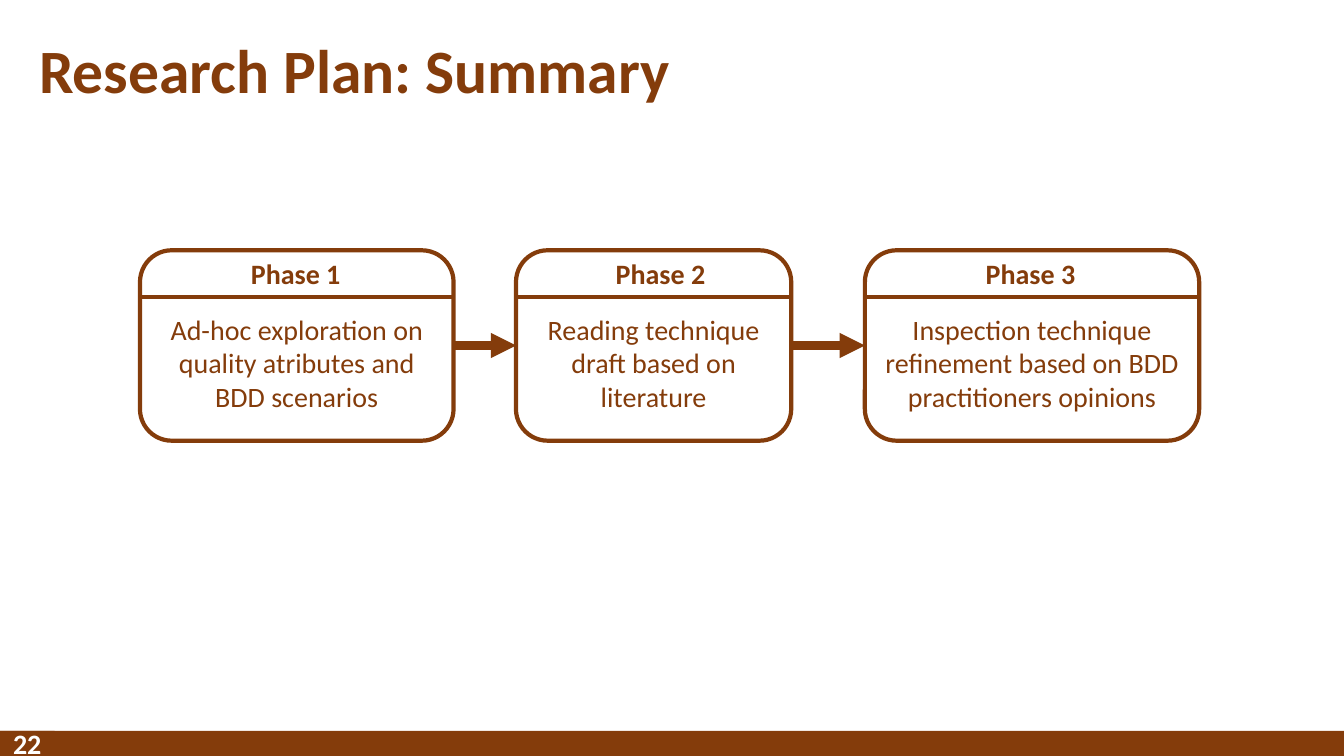
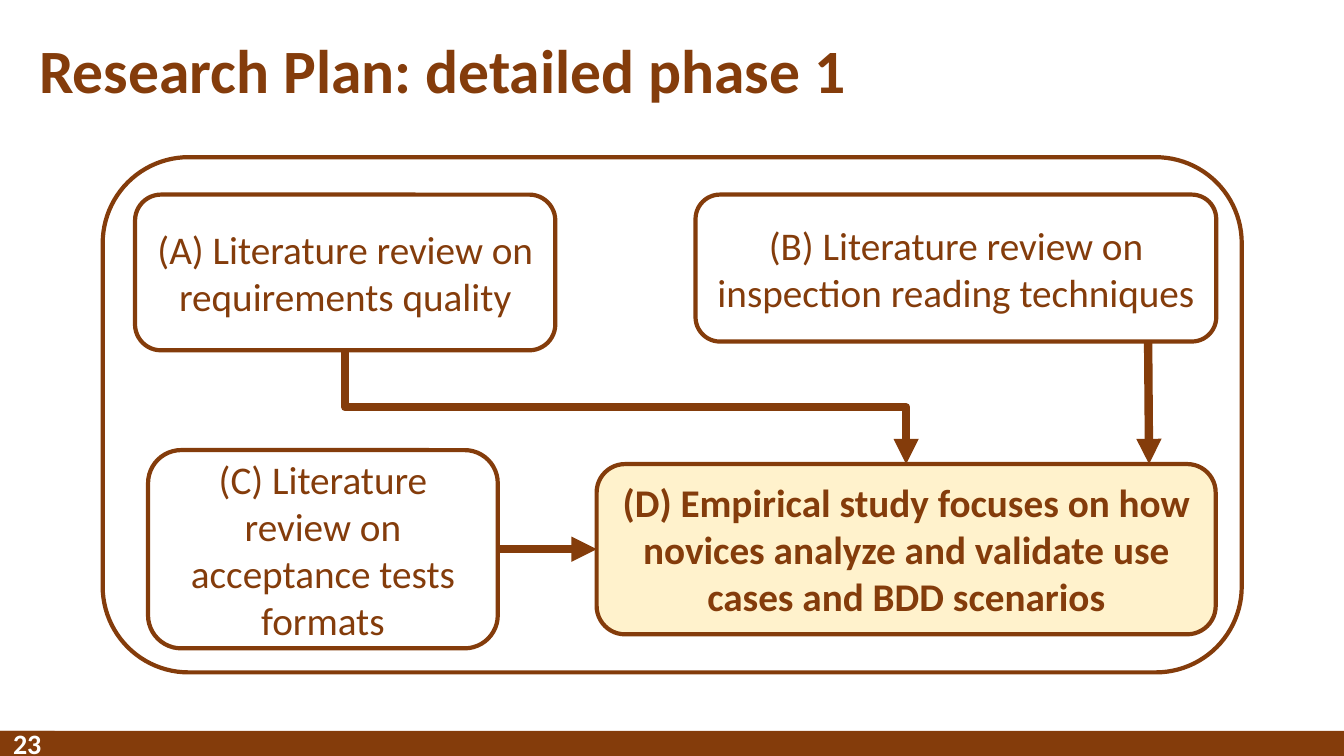
from lxml import etree
from pptx import Presentation
from pptx.dml.color import RGBColor
from pptx.enum.shapes import MSO_CONNECTOR, MSO_SHAPE
from pptx.enum.text import MSO_ANCHOR, PP_ALIGN
from pptx.oxml.ns import qn
from pptx.util import Pt

RECTANGLE, ROUNDED = MSO_SHAPE.RECTANGLE, MSO_SHAPE.ROUNDED_RECTANGLE
STRAIGHT, ELBOW = MSO_CONNECTOR.STRAIGHT, MSO_CONNECTOR.ELBOW
LEFT, CENTER = PP_ALIGN.LEFT, PP_ALIGN.CENTER
TOP, MIDDLE = MSO_ANCHOR.TOP, MSO_ANCHOR.MIDDLE
TOP_SIDE, LEFT_SIDE, BOTTOM_SIDE, RIGHT_SIDE = range(4)

COLORS = {"brown": "843C0B", "white": "FFFFFF", "cream": "FFF2CC"}
FONT = "Calibri"
OUTLINE, ARROW = 3, 6
WIDTH, HEIGHT, BAND_HEIGHT = 960, 540, 18


def add_box(slide, text, left, top, width, height, kind=None, fill=None, line=None,
            size=20, bold=False, color="brown", align=CENTER, anchor=MIDDLE,
            spacing=None, top_margin=3.6, wrap=True):
    """Add a preset shape, or a text box when no kind is given."""
    place = Pt(left), Pt(top), Pt(width), Pt(height)
    if kind is None:
        shape = slide.shapes.add_textbox(*place)
    else:
        shape = slide.shapes.add_shape(kind, *place)
        shape.shadow.inherit = False
        shape.fill.solid()
        shape.fill.fore_color.rgb = RGBColor.from_string(COLORS[fill])
        if line:
            shape.line.color.rgb = RGBColor.from_string(COLORS[line])
            shape.line.width = Pt(OUTLINE)
        else:
            shape.line.fill.background()
    if text:
        frame = shape.text_frame
        frame.word_wrap = wrap
        frame.vertical_anchor = anchor
        frame.margin_top = Pt(top_margin)
        paragraph = frame.paragraphs[0]
        paragraph.alignment = align
        paragraph.line_spacing = spacing
        run = paragraph.add_run()
        run.text = text
        run.font.name = FONT
        run.font.size = Pt(size)
        run.font.bold = bold
        run.font.color.rgb = RGBColor.from_string(COLORS[color])
    return shape


def add_line(slide, start=(0, 0), end=(0, 0), joins=None, kind=STRAIGHT, arrow=False):
    """Add a line between points, or between joins (shape, side, shape, side)."""
    connector = slide.shapes.add_connector(kind, *map(Pt, start + end))
    if joins:
        connector.begin_connect(*joins[:2])
        connector.end_connect(*joins[2:])
    connector.line.color.rgb = RGBColor.from_string(COLORS["brown"])
    connector.line.width = Pt(ARROW if arrow else OUTLINE)
    if arrow:
        line = connector.line._get_or_add_ln()
        etree.SubElement(line, qn("a:tailEnd"), type="triangle")
    etree.SubElement(connector.element.spPr, qn("a:effectLst"))
    return connector


presentation = Presentation()
presentation.slide_width, presentation.slide_height = Pt(WIDTH), Pt(HEIGHT)

# Shared title, footer band and page number
slides = []
for number, title in ((22, "Research Plan: Summary"),
                      (23, "Research Plan: detailed phase 1")):
    slide = presentation.slides.add_slide(presentation.slide_layouts[6])
    band_top = HEIGHT - BAND_HEIGHT
    add_box(slide, None, 0, band_top, WIDTH, BAND_HEIGHT, RECTANGLE, "brown")
    add_box(slide, str(number), 0, band_top, 39, BAND_HEIGHT, RECTANGLE, "brown",
            bold=True, color="white")
    add_box(slide, title, 20.9, 0, 828, 104.4, size=44, bold=True, align=LEFT,
            spacing=0.9)
    slides.append(slide)
summary, detail = slides

# Summary: three phases in a row
PHASE_TOP, PHASE_HEIGHT, DIVIDER_Y = 178.8, 136, 212.3
phases = [
    (100, 224, 172.1, "Ad-hoc exploration on quality atributes and BDD scenarios"),
    (368.6, 196.6, 432.7, "Reading technique draft based on literature"),
    (617.8, 238.8, 697, "Inspection technique refinement based on BDD practitioners opinions"),
]
previous = None
for index, (left, width, label_left, text) in enumerate(phases, 1):
    box = add_box(summary, text, left, PHASE_TOP, width, PHASE_HEIGHT, ROUNDED,
                  "white", "brown", top_margin=28)
    add_line(summary, (left, DIVIDER_Y), (left + width, DIVIDER_Y))
    add_box(summary, f"Phase {index}", label_left, 180, 79, 31.5, bold=True,
            align=LEFT, anchor=TOP, wrap=False)
    if previous:
        add_line(summary, joins=(previous, RIGHT_SIDE, box, LEFT_SIDE), arrow=True)
    previous = box

# Detail: frame around the four steps of phase 1
add_box(detail, None, 73.4, 112.3, 813.6, 368, ROUNDED, "white", "brown")
steps = {}
for text, left, top, width, height in (
    ("(A) Literature review on requirements quality", 96.5, 139, 300.2, 111.2),
    ("(B) Literature review on inspection reading techniques", 496.8, 139, 372, 105),
    ("(C) Literature review on acceptance tests formats", 105.8, 321.5, 249.8, 141.6),
    ("(D) Empirical study focuses on how novices analyze and validate use cases "
     "and BDD scenarios", 426.2, 331.5, 442.2, 121.6),
):
    letter = text[1]
    result = letter == "D"
    steps[letter] = add_box(detail, text, left, top, width, height, ROUNDED,
                            "cream" if result else "white", "brown", size=28,
                            bold=result)

# Detail: arrows into the study
add_line(detail, (820.1, 244), (820.8, 331.5), arrow=True)
add_line(detail, joins=(steps["C"], RIGHT_SIDE, steps["D"], LEFT_SIDE), arrow=True)
elbow = add_line(detail, joins=(steps["A"], BOTTOM_SIDE, steps["D"], TOP_SIDE),
                 kind=ELBOW, arrow=True)

# Turn the elbow so that it leaves and arrives vertically
across, down = elbow.width, elbow.height
elbow.left += (across - down) // 2
elbow.top += (down - across) // 2
elbow.width, elbow.height = down, across
transform = elbow.element.spPr.find(qn("a:xfrm"))
transform.set("rot", str(270 * 60000))
transform.set("flipH", "1")

presentation.save("out.pptx")
